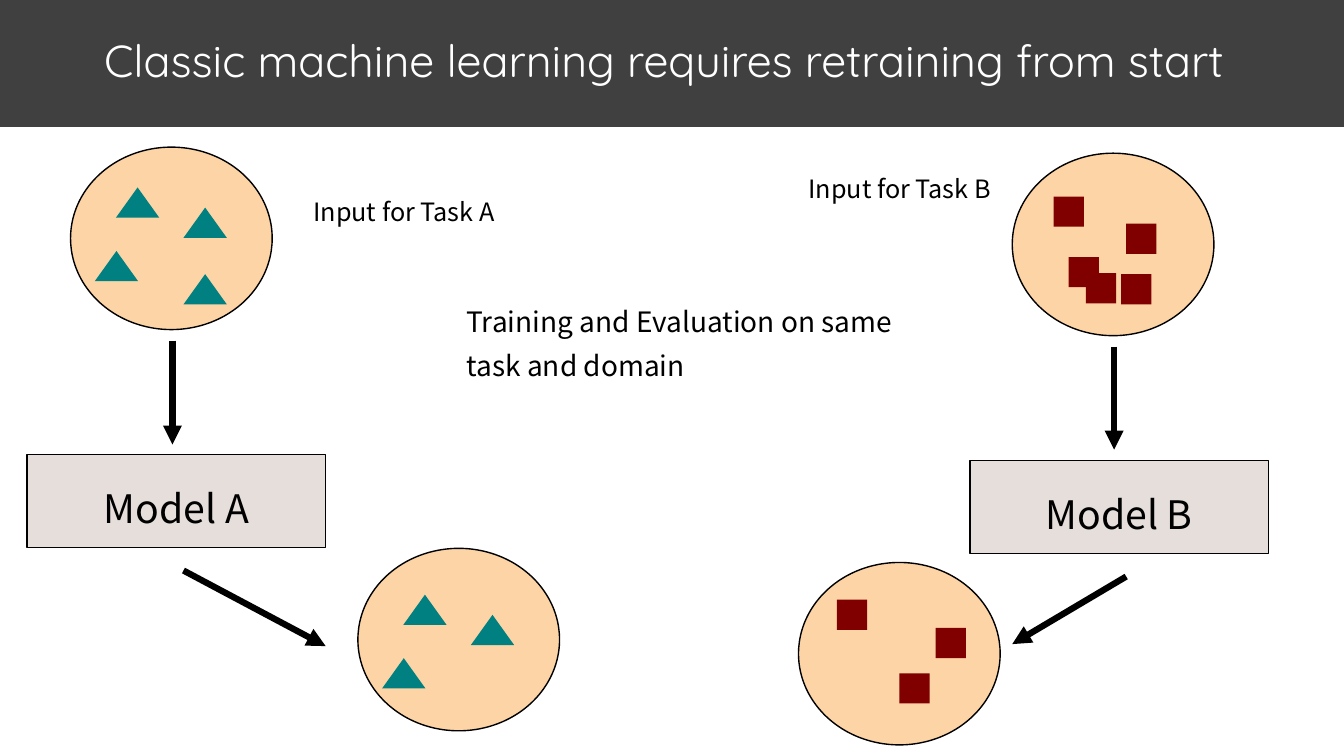
from lxml import etree
from pptx import Presentation
from pptx.dml.color import RGBColor
from pptx.enum.shapes import MSO_CONNECTOR, MSO_SHAPE
from pptx.enum.text import MSO_ANCHOR, PP_ALIGN
from pptx.oxml.ns import qn
from pptx.util import Emu, Pt

PX = 9144  # 100 px to the inch
WHITE = RGBColor(0xFF, 0xFF, 0xFF)
BLACK = RGBColor(0x00, 0x00, 0x00)
CHARCOAL = RGBColor(0x40, 0x40, 0x40)
PEACH = RGBColor(0xFC, 0xD4, 0xA5)
STONE = RGBColor(0xE5, 0xDE, 0xDB)
TEAL = RGBColor(0x00, 0x80, 0x80)
MAROON = RGBColor(0x80, 0x00, 0x00)
TITLE_FONT = "Quicksand"
BODY_FONT = "Noto Sans CJK SC"


def px(*lengths):
    return [Emu(length * PX) for length in lengths]


def write(frame, text, size, font=BODY_FONT, color=BLACK, align=PP_ALIGN.LEFT,
          anchor=MSO_ANCHOR.TOP, spacing=1.3):
    frame.word_wrap = True
    frame.vertical_anchor = anchor
    paragraph = frame.paragraphs[0]
    paragraph.alignment = align
    paragraph.line_spacing = spacing
    run = paragraph.add_run()
    run.text = text
    run.font.size = Pt(size)
    run.font.name = font
    run.font.color.rgb = color
    # East Asian slot keeps the same face for every script
    etree.SubElement(run.font._element, qn("a:ea"), typeface=font)


class Board:
    """Draws the elements of the diagram on one slide."""

    def __init__(self, slide):
        self.shapes = slide.shapes

    def shape(self, preset, box, fill, outlined=False):
        shape = self.shapes.add_shape(preset, *px(*box))
        shape.shadow.inherit = False
        shape.fill.solid()
        shape.fill.fore_color.rgb = fill
        if outlined:
            shape.line.color.rgb = BLACK
            shape.line.width = Pt(1)
        else:
            shape.line.fill.background()
        return shape

    def label(self, box, text, size, **style):
        write(self.shapes.add_textbox(*px(*box)).text_frame, text, size, **style)

    def domain(self, left, top):
        """Circle that holds the samples of one task."""
        self.shape(MSO_SHAPE.OVAL, (left, top, 200, 181), PEACH, outlined=True)

    def triangles(self, corners):
        for left, top in corners:
            self.shape(MSO_SHAPE.ISOSCELES_TRIANGLE, (left, top, 43, 30), TEAL)

    def squares(self, corners):
        for left, top in corners:
            self.shape(MSO_SHAPE.RECTANGLE, (left, top, 30, 30), MAROON)

    def model(self, left, top, name):
        box = self.shape(MSO_SHAPE.RECTANGLE, (left, top, 296, 92), STONE, outlined=True)
        write(box.text_frame, name, 28, align=PP_ALIGN.CENTER, anchor=MSO_ANCHOR.MIDDLE)

    def arrow(self, start, end):
        arrow = self.shapes.add_connector(MSO_CONNECTOR.STRAIGHT, *px(*start, *end))
        arrow.line.color.rgb = BLACK
        arrow.line.width = Pt(4.5)
        etree.SubElement(arrow.line._get_or_add_ln(), qn("a:tailEnd"), type="triangle")
        etree.SubElement(arrow._element.spPr, qn("a:effectLst"))


def main():
    deck = Presentation()
    deck.slide_width, deck.slide_height = px(1333, 750)
    board = Board(deck.slides.add_slide(deck.slide_layouts[6]))

    board.shape(MSO_SHAPE.RECTANGLE, (0, 0, 1333, 126), CHARCOAL)
    board.label((13, 20, 1292, 86), "Classic machine learning requires retraining from start",
                32, font=TITLE_FONT, color=WHITE, align=PP_ALIGN.CENTER,
                anchor=MSO_ANCHOR.MIDDLE, spacing=0.9)

    # Task A
    inputs_a = [(115, 186), (182, 206), (94, 249), (182, 272)]
    board.domain(70, 146)
    board.triangles(inputs_a)
    board.arrow((171, 338), (171, 441))
    board.model(27, 451, "Model A")
    board.arrow((182, 566), (323, 641))
    board.label((301, 181, 303, 46), "Input for Task A", 18)
    board.domain(355, 544)
    board.triangles((left + 285, top + 404) for left, top in inputs_a[:3])

    # Task B
    board.domain(1004, 152)
    board.squares([(1045, 195), (1117, 222), (1060, 255), (1112, 272), (1077, 271)])
    board.arrow((1105, 344), (1105, 446))
    board.model(962, 457, "Model B")
    board.arrow((1117, 572), (1004, 639))
    board.label((792, 158, 303, 49), "Input for Task B", 18)
    board.domain(792, 558)
    board.squares([(830, 595), (892, 668), (928, 623)])

    board.label((453, 287, 454, 93), "Training and Evaluation on same task and domain", 20)

    deck.save("out.pptx")


if __name__ == "__main__":
    main()
